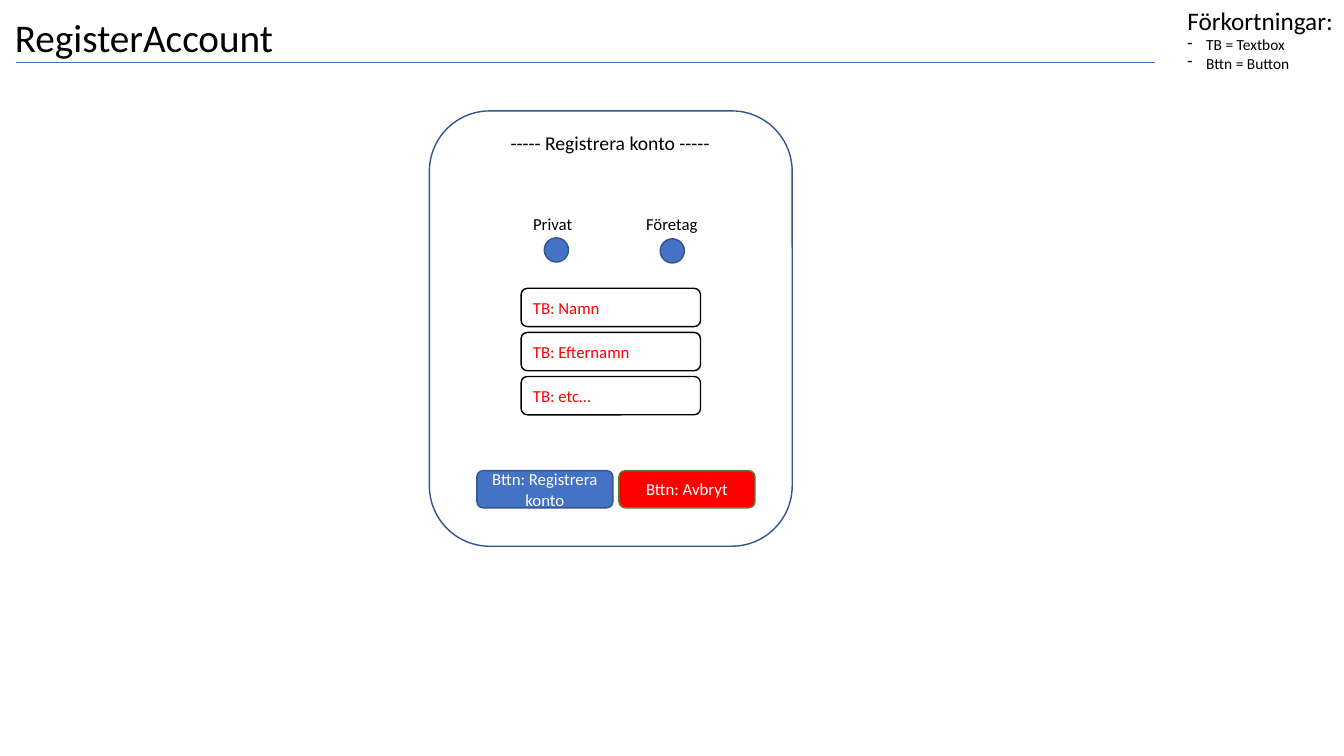
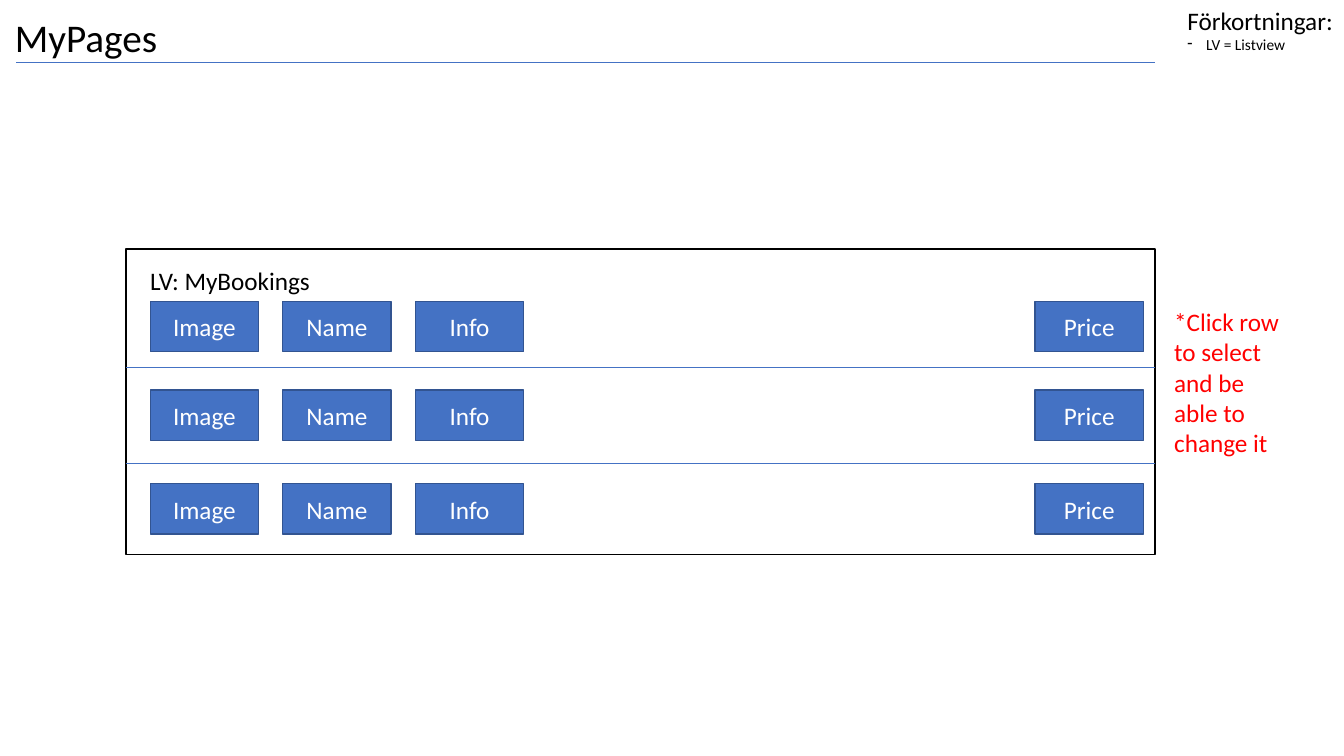
import pptx
import pptx.util
import pptx.dml.color
import pptx.enum.shapes
import pptx.enum.text
import pptx.oxml
import pptx.oxml.ns

Pt = pptx.util.Pt
SHAPE = pptx.enum.shapes.MSO_SHAPE
ALIGN = pptx.enum.text.PP_ALIGN
ANCHOR = pptx.enum.text.MSO_ANCHOR

BLUE, NAVY, GREEN = "4472C4", "325491", "538035"
RED, BLACK, WHITE = "FF0000", "000000", "FFFFFF"


def rgb(value):
    return pptx.dml.color.RGBColor.from_string(value)


def set_all(target, values):
    for name, value in values.items():
        setattr(target, name, value)


def add_child(parent, tag, **attributes):
    child = pptx.oxml.parse_xml(f'<{tag} {pptx.oxml.ns.nsdecls("a")}/>')
    for name, value in attributes.items():
        child.set(name, str(value))
    parent.append(child)


class Deck:
    font = "Calibri"

    def __init__(self):
        self.prs = pptx.Presentation()
        set_all(self.prs, {"slide_width": Pt(960), "slide_height": Pt(540)})
        self.s = None

    def slide(self, title, abbreviations):
        self.s = self.prs.slides.add_slide(self.prs.slide_layouts[6])
        tf = self.text(title, 3.6, 4.3, 828, 48.2, size=28, anchor=ANCHOR.MIDDLE)
        tf.paragraphs[0].line_spacing = 0.9
        self.line(11.5, 825.1, 44.6)
        tf = self.text("Förkortningar:", 841, 0, 119, 55.4, size=18)
        tf.margin_right = 0
        for entry in abbreviations:
            self.bullet(tf.add_paragraph(), entry)

    def run(self, p, text, size, color):
        r = p.add_run()
        r.text = text
        set_all(r.font, {"name": self.font, "size": Pt(size)})
        r.font.color.rgb = rgb(color)

    def bullet(self, p, text):
        self.run(p, text, 11, BLACK)
        pPr = p._p.get_or_add_pPr()
        pPr.set("marL", str(Pt(13.5)))
        pPr.set("indent", str(-Pt(13.5)))
        add_child(pPr, "a:buChar", char="-")

    def fill_text(self, tf, text, size, color, align, anchor):
        set_all(tf, {"word_wrap": True, "vertical_anchor": anchor})
        p = tf.paragraphs[0]
        p.alignment = align
        self.run(p, text, size, color)

    def text(self, text, x, y, w, h, size=12, color=BLACK, align=ALIGN.LEFT, anchor=ANCHOR.TOP):
        tf = self.s.shapes.add_textbox(Pt(x), Pt(y), Pt(w), Pt(h)).text_frame
        self.fill_text(tf, text, size, color, align, anchor)
        return tf

    def shape(self, kind, x, y, w, h, fill=None, line=NAVY, text=None, size=12, color=WHITE, align=ALIGN.CENTER):
        sp = self.s.shapes.add_shape(kind, Pt(x), Pt(y), Pt(w), Pt(h))
        sp.shadow.inherit = False
        if fill:
            sp.fill.solid()
            sp.fill.fore_color.rgb = rgb(fill)
        else:
            sp.fill.background()
        sp.line.color.rgb = rgb(line)
        sp.line.width = Pt(1)
        if text:
            self.fill_text(sp.text_frame, text, size, color, align, ANCHOR.MIDDLE)

    def line(self, left, right, y):
        kind = pptx.enum.shapes.MSO_CONNECTOR.STRAIGHT
        cx = self.s.shapes.add_connector(kind, Pt(left), Pt(y), Pt(right), Pt(y))
        cx.line.color.rgb = rgb(BLUE)
        cx.line.width = Pt(0.5)
        add_child(cx._element.spPr, "a:effectLst")


deck = Deck()

deck.slide("RegisterAccount", ["TB = Textbox", "Bttn = Button"])
deck.shape(SHAPE.ROUNDED_RECTANGLE, 306.7, 79.2, 259.2, 311)
deck.text("----- Registrera konto -----", 354.2, 90, 163.4, 24.5, size=14, align=ALIGN.CENTER)

deck.text("Privat", 373.7, 149, 54.7, 21.6)
deck.text("Företag", 445.7, 149, 68.4, 21.6, align=ALIGN.CENTER)
for x, y in [(388.8, 169.9), (471.6, 170.6)]:
    deck.shape(SHAPE.OVAL, x, y, 17.3, 17.3, fill=BLUE)

for i, field in enumerate(["Namn", "Efternamn", "etc…"]):
    deck.shape(SHAPE.ROUNDED_RECTANGLE, 372.2, 205.9 + 31.5 * i, 128.2, 27.4,
               line=BLACK, text=f"TB: {field}", color=RED, align=ALIGN.LEFT)

buttons = [("Registrera konto", BLUE, NAVY), ("Avbryt", RED, GREEN)]
for i, (action, fill, line) in enumerate(buttons):
    deck.shape(SHAPE.ROUNDED_RECTANGLE, 340.6 + 101.5 * i, 336.2, 97.2, 26.6,
               fill=fill, line=line, text=f"Bttn: {action}")

deck.slide("MyPages", ["LV = Listview"])
deck.shape(SHAPE.RECTANGLE, 90, 177.8, 735.1, 218.2, line=BLACK)
deck.text("LV: MyBookings", 100.1, 185.8, 177.8, 28.8, size=18)
for y in [262.1, 331.2]:
    deck.line(90, 825.1, y)

columns = {"Image": 107.3, "Name": 202, "Info": 296.7, "Price": 739.4}
for y in [215.3, 278.6, 345.6]:
    for label, x in columns.items():
        deck.shape(SHAPE.RECTANGLE, x, y, 77.4, 36, fill=BLUE, text=label, size=18)
deck.text("*Click row to select and be able to change it", 831.6, 215.3, 94.3, 116.6, size=18, color=RED)

deck.prs.save("out.pptx")
